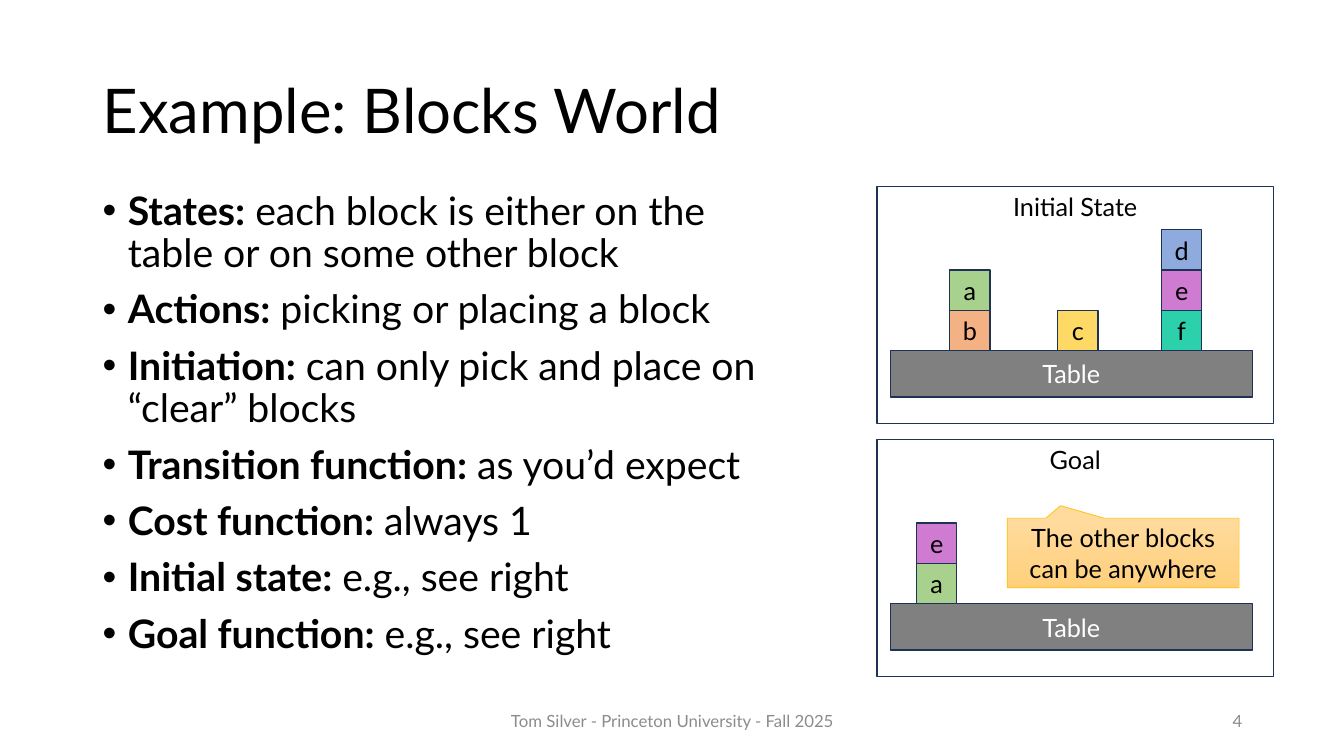
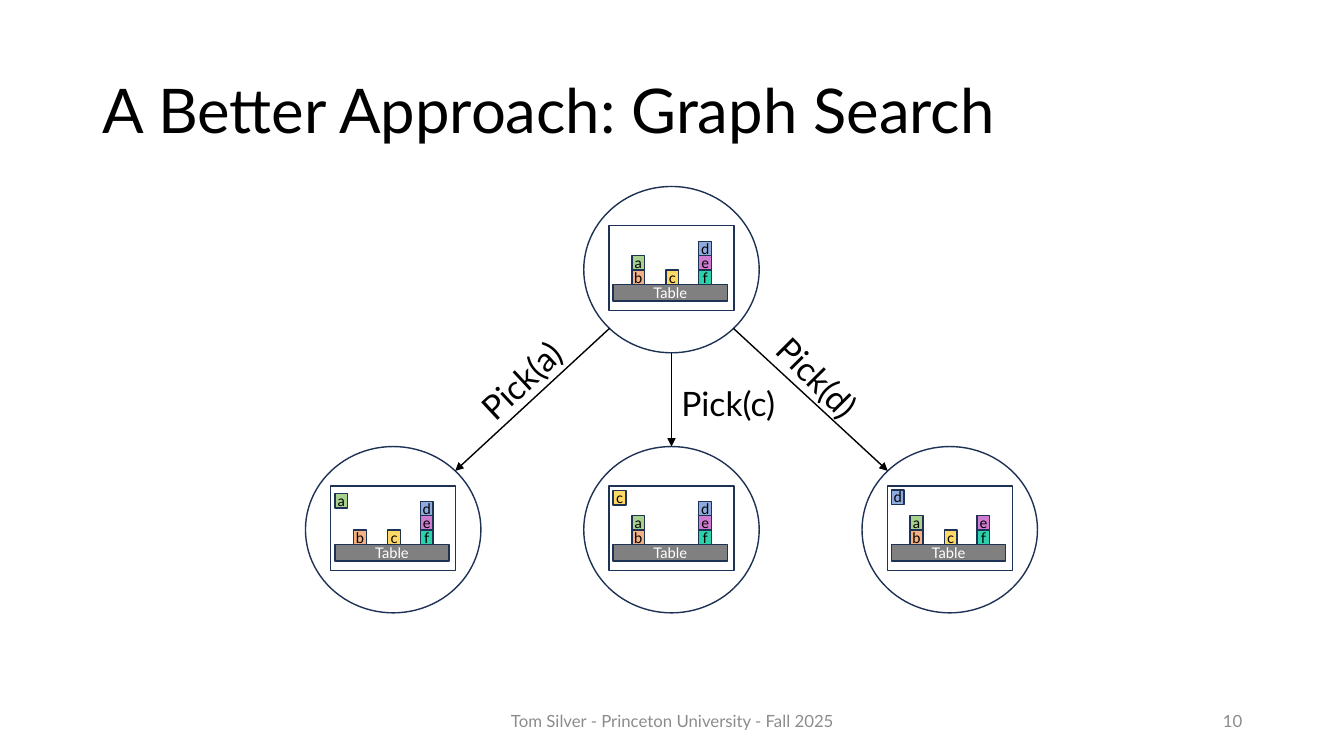
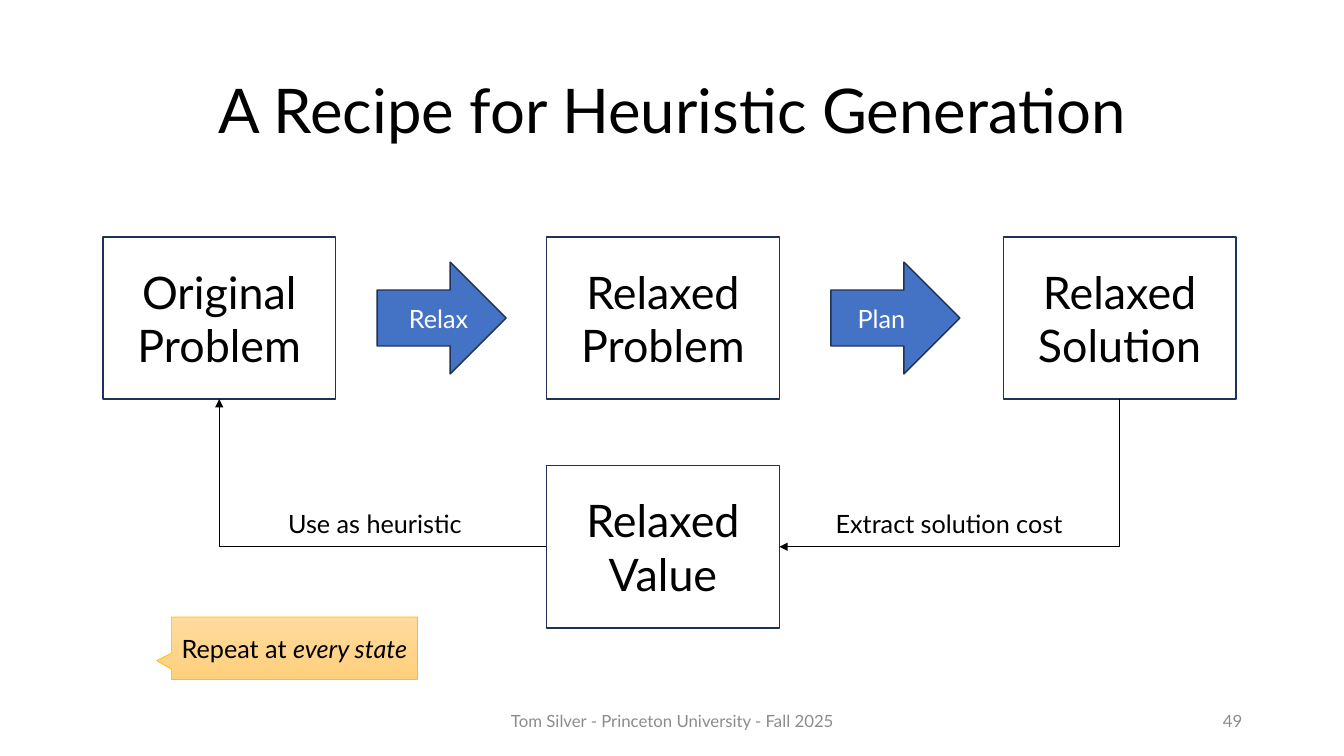
import dataclasses
import math

import lxml.etree
import pptx
import pptx.dml.color
import pptx.enum.shapes
import pptx.enum.text
import pptx.oxml.ns
import pptx.util

Inches = pptx.util.Inches
SHAPE = pptx.enum.shapes.MSO_SHAPE
CONNECTOR = pptx.enum.shapes.MSO_CONNECTOR
ALIGN = pptx.enum.text.PP_ALIGN
ANCHOR = pptx.enum.text.MSO_ANCHOR


@dataclasses.dataclass(frozen=True)
class Theme:
    font: str = "Lato"
    text: str = "000000"
    light: str = "FFFFFF"
    muted: str = "8C8C8C"
    outline: str = "1E3256"
    table: str = "808080"
    arrow: str = "4472C4"
    callout_top: str = "FFDB9E"
    callout_bottom: str = "FFD07C"
    callout_line: str = "FFC000"
    blocks: dict = dataclasses.field(default_factory=lambda: {
        "a": "A9D18E", "b": "F4B183", "c": "FFD966",
        "d": "8FAADC", "e": "CF7BD1", "f": "2CD1AC"})
    title_size: float = 44
    box_size: float = 32
    body_size: float = 28
    action_size: float = 24
    label_size: float = 18
    footer_size: float = 12
    small_size: float = 10.5


THEME = Theme()
FOOTER = "Tom Silver - Princeton University - Fall 2025"
PANEL_WIDTH, PANEL_HEIGHT = 3.93, 2.35
TABLE_LEFT, TABLE_TOP, TABLE_WIDTH, TABLE_HEIGHT = 0.13, 1.63, 3.59, 0.46
BLOCK_SIZE = 0.4
COLUMNS = (0.72, 1.79, 2.82)


def rgb(color):
    return pptx.dml.color.RGBColor.from_string(color)


def add_xml(parent, tag, **attributes):
    return lxml.etree.SubElement(parent, pptx.oxml.ns.qn(tag), attributes)


class Deck:
    def __init__(self, theme):
        self.theme = theme
        self.presentation = pptx.Presentation()
        self.presentation.slide_width = Inches(13.33)
        self.presentation.slide_height = Inches(7.5)
        self.slide = None

    def new_slide(self, title, number, align=ALIGN.LEFT):
        theme = self.theme
        layout = self.presentation.slide_layouts[6]
        self.slide = self.presentation.slides.add_slide(layout)
        heading = self.text(0.92, 0.4, 11.5, 1.45, title, theme.title_size,
                            align=align, anchor=ANCHOR.MIDDLE)
        heading.text_frame.paragraphs[0].line_spacing = 0.9
        for left, width, text, side in (
                (4.42, 4.5, FOOTER, ALIGN.CENTER),
                (9.42, 3, str(number), ALIGN.RIGHT)):
            self.text(left, 6.95, width, 0.4, text, theme.footer_size,
                      theme.muted, side, ANCHOR.MIDDLE)

    def format_runs(self, paragraph, size, color):
        for run in paragraph.runs:
            run.font.name = self.theme.font
            run.font.size = pptx.util.Pt(size)
            run.font.color.rgb = rgb(color)

    def fill_text(self, shape, text, size, color, align, anchor):
        frame = shape.text_frame
        frame.word_wrap = True
        frame.vertical_anchor = anchor
        frame.text = text
        paragraph = frame.paragraphs[0]
        paragraph.alignment = align
        self.format_runs(paragraph, size, color)

    def text(self, left, top, width, height, text, size, color=THEME.text,
             align=ALIGN.LEFT, anchor=ANCHOR.TOP):
        box = self.slide.shapes.add_textbox(
            Inches(left), Inches(top), Inches(width), Inches(height))
        self.fill_text(box, text, size, color, align, anchor)
        return box

    def label(self, left, top, width, height, text, size, rotation=0):
        """Add a one-line text that fits its own box."""
        box = self.text(left, top, width, height, text, size)
        box.text_frame.word_wrap = False
        box.text_frame.auto_size = pptx.enum.text.MSO_AUTO_SIZE.SHAPE_TO_FIT_TEXT
        box.rotation = rotation

    def bullets(self, left, top, width, height, items):
        """Add bullets, each a bold term followed by its meaning."""
        box = self.slide.shapes.add_textbox(
            Inches(left), Inches(top), Inches(width), Inches(height))
        frame = box.text_frame
        frame.word_wrap = True
        for index, (term, meaning) in enumerate(items):
            paragraph = frame.add_paragraph() if index else frame.paragraphs[0]
            paragraph.line_spacing = 0.9
            paragraph.space_before = pptx.util.Pt(10)
            for text, bold in ((term, True), (" " + meaning, False)):
                run = paragraph.add_run()
                run.text = text
                run.font.bold = bold
            self.format_runs(paragraph, self.theme.body_size, self.theme.text)
            properties = paragraph._p.get_or_add_pPr()
            properties.set("marL", str(Inches(0.25)))
            properties.set("indent", str(Inches(-0.25)))
            add_xml(properties, "a:buFont", typeface="Arial")
            add_xml(properties, "a:buChar", char="•")

    def shape(self, kind, left, top, width, height, fill=None, text="",
              size=THEME.label_size, color=THEME.text, align=ALIGN.CENTER,
              anchor=ANCHOR.MIDDLE):
        shape = self.slide.shapes.add_shape(
            kind, Inches(left), Inches(top), Inches(width), Inches(height))
        shape.shadow.inherit = False
        if fill:
            shape.fill.solid()
            shape.fill.fore_color.rgb = rgb(fill)
        else:
            shape.fill.background()
        shape.line.color.rgb = rgb(self.theme.outline)
        shape.line.width = pptx.util.Pt(1)
        if text:
            self.fill_text(shape, text, size, color, align, anchor)
        return shape

    def callout(self, left, top, width, height, text, pointer):
        shape = self.shape(SHAPE.RECTANGULAR_CALLOUT, left, top, width, height,
                           text=text)
        for index, offset in enumerate(pointer):
            shape.adjustments[index] = offset
        shape.fill.gradient()
        shape.fill.gradient_angle = 270
        colors = (self.theme.callout_top, self.theme.callout_bottom)
        for stop, color in zip(shape.fill.gradient_stops, colors):
            stop.color.rgb = rgb(color)
        shape.line.color.rgb = rgb(self.theme.callout_line)
        shape.line.width = pptx.util.Pt(0.5)
        return shape

    def connector(self, kind, start, end, arrow_end="a:tailEnd"):
        connector = self.slide.shapes.add_connector(
            kind, *(Inches(value) for value in (*start, *end)))
        connector.line.color.rgb = rgb(self.theme.text)
        connector.line.width = pptx.util.Pt(1)
        add_xml(connector.line._get_or_add_ln(), arrow_end, type="triangle")
        add_xml(connector._element.spPr, "a:effectLst")
        return connector

    def corner(self, source, source_site, target, target_site, arrow_end):
        """Join two shapes by a line that runs sideways, then turns once."""
        connector = self.connector(CONNECTOR.ELBOW, (0, 0), (1, 1), arrow_end)
        connector.begin_connect(source, source_site)
        connector.end_connect(target, target_site)
        geometry = connector._element.spPr.find(pptx.oxml.ns.qn("a:prstGeom"))
        geometry.set("prst", "bentConnector2")

    def blocks_panel(self, left, top, stacks, caption="", held=None,
                     width=PANEL_WIDTH, height=PANEL_HEIGHT,
                     size=THEME.label_size):
        """Draw stacks (column offset, blocks from the bottom up) on a table.

        held is a block and its offset from the top of the full-size panel.
        """
        theme = self.theme
        across, down = width / PANEL_WIDTH, height / PANEL_HEIGHT

        def part(x, y, part_width, part_height, fill, text, color):
            shape = self.shape(
                SHAPE.RECTANGLE, left + x * across, top + y * down,
                part_width * across, part_height * down, fill, text, size, color)
            frame = shape.text_frame
            frame.word_wrap = False
            frame.margin_left = frame.margin_right = 0
            frame.margin_top = frame.margin_bottom = 0

        part(TABLE_LEFT, TABLE_TOP, TABLE_WIDTH, TABLE_HEIGHT,
             theme.table, "Table", theme.light)
        placed = [(name, x, TABLE_TOP - level * BLOCK_SIZE)
                  for x, stack in stacks
                  for level, name in enumerate(stack, start=1)]
        if held:
            placed.append((held[0], TABLE_LEFT, held[1]))
        for name, x, y in placed:
            part(x, y, BLOCK_SIZE, BLOCK_SIZE, theme.blocks[name], name, theme.text)
        self.shape(SHAPE.RECTANGLE, left, top, width, height, text=caption,
                   size=size, anchor=ANCHOR.TOP)


def blocks_world(deck):
    deck.new_slide("Example: Blocks World", 4)
    deck.bullets(0.92, 1.85, 6.78, 4.76, (
        ("States:", "each block is either on the table or on some other block"),
        ("Actions:", "picking or placing a block"),
        ("Initiation:", "can only pick and place on “clear” blocks"),
        ("Transition function:", "as you’d expect"),
        ("Cost function:", "always 1"),
        ("Initial state:", "e.g., see right"),
        ("Goal function:", "e.g., see right")))
    deck.blocks_panel(8.7, 1.85, zip(COLUMNS, ("ba", "c", "fed")), "Initial State")
    deck.blocks_panel(8.7, 4.36, [(0.39, "ae")], "Goal")
    deck.callout(9.99, 5.14, 2.3, 0.69, "The other blocks can be anywhere",
                 (-0.27, -0.68))


def graph_search(deck):
    deck.new_slide("A Better Approach: Graph Search", 10)
    node_width, node_height = 1.74, 1.65
    root_left, root_top, child_top, spacing = 5.79, 1.85, 4.43, 2.76

    def node(left, top, stacks, held=None):
        deck.shape(SHAPE.OVAL, left, top, node_width, node_height, THEME.light)
        deck.blocks_panel(left + 0.25, top + 0.39, zip(COLUMNS, stacks), held=held,
                          width=1.24, height=0.84, size=THEME.small_size)

    def rim(left, top, side, vertical):
        """Point on a node's outline: its middle or a diagonal."""
        reach = math.sqrt(0.5) if side else 1
        return (left + node_width / 2 * (1 + side * reach),
                top + node_height / 2 * (1 + vertical * reach))

    node(root_left, root_top, ("ba", "c", "fed"))
    children = ((-1, ("b", "c", "fed"), ("a", 0.22)),
                (0, ("ba", "", "fed"), ("c", 0.13)),
                (1, ("ba", "c", "fe"), ("d", 0.11)))
    for side, stacks, held in children:
        left = root_left + side * spacing
        node(left, child_top, stacks, held)
        deck.connector(CONNECTOR.STRAIGHT,
                       rim(root_left, root_top, side, 1),
                       rim(left, child_top, -side, -1))
    for left, top, text, rotation in ((4.59, 3.5, "Pick(a)", 316.9),
                                      (6.66, 3.75, "Pick(c)", 0),
                                      (7.52, 3.51, "Pick(d)", 45.3)):
        deck.label(left, top, 1.2, 0.5, text, THEME.action_size, rotation)


def heuristic_recipe(deck):
    deck.new_slide("A Recipe for Heuristic Generation", 49, ALIGN.CENTER)
    original, _, solution, value = [
        deck.shape(SHAPE.RECTANGLE, left, top, 2.31, 1.61, THEME.light, text,
                   THEME.box_size)
        for left, top, text in ((1.02, 2.35, "Original Problem"),
                                (5.42, 2.35, "Relaxed Problem"),
                                (9.95, 2.35, "Relaxed Solution"),
                                (5.42, 4.62, "Relaxed Value"))]
    for left, text, align in ((3.74, "Relax", ALIGN.RIGHT),
                              (8.24, "Plan", ALIGN.CENTER)):
        deck.shape(SHAPE.RIGHT_ARROW, left, 2.6, 1.28, 1.11, THEME.arrow, text,
                   color=THEME.light, align=align)
    left_site, bottom_site, right_site = 1, 2, 3
    deck.corner(value, right_site, solution, bottom_site, "a:headEnd")
    deck.corner(value, left_site, original, bottom_site, "a:tailEnd")
    deck.label(8.19, 4.99, 2.47, 0.4, "Extract solution cost", THEME.label_size)
    deck.label(2.76, 4.99, 1.93, 0.4, "Use as heuristic", THEME.label_size)
    reminder = deck.callout(1.7, 6.12, 2.44, 0.62, "Repeat at ", (-0.56, 0.2))
    paragraph = reminder.text_frame.paragraphs[0]
    emphasis = paragraph.add_run()
    emphasis.text = "every state"
    emphasis.font.italic = True
    deck.format_runs(paragraph, THEME.label_size, THEME.text)


def main():
    deck = Deck(THEME)
    blocks_world(deck)
    graph_search(deck)
    heuristic_recipe(deck)
    deck.presentation.save("out.pptx")


if __name__ == "__main__":
    main()
